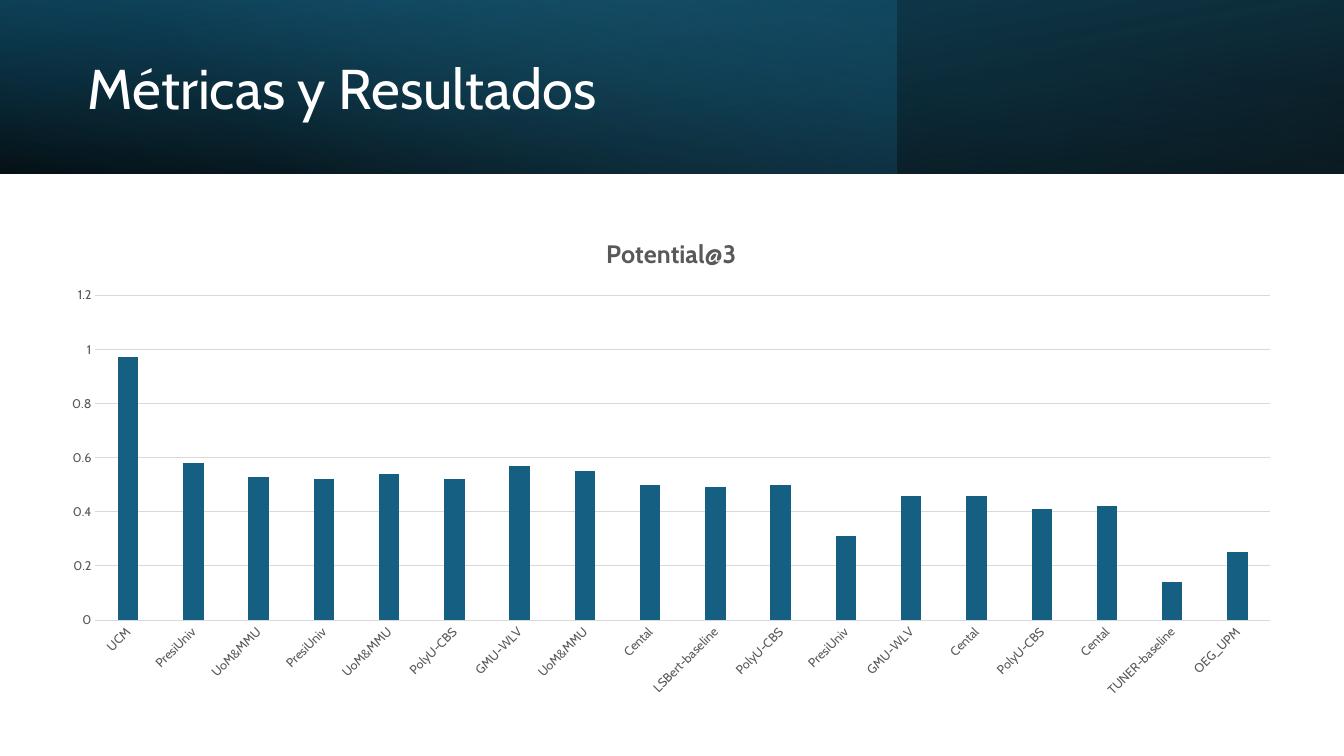
"""Builds the slide that compares Potential@3 across the competing teams."""
from lxml import etree
from pptx import Presentation
from pptx.chart.data import CategoryChartData
from pptx.dml.color import RGBColor
from pptx.enum.chart import XL_CHART_TYPE, XL_TICK_MARK
from pptx.enum.shapes import MSO_SHAPE
from pptx.enum.text import MSO_ANCHOR, PP_ALIGN
from pptx.oxml.ns import qn
from pptx.util import Cm, Pt

COLUMN = XL_CHART_TYPE.COLUMN_CLUSTERED
NO_TICK = XL_TICK_MARK.NONE
RECTANGLE = MSO_SHAPE.RECTANGLE
MIDDLE = MSO_ANCHOR.MIDDLE
LEFT = PP_ALIGN.LEFT

COLORS = {
    "white": "FFFFFF",
    "black": "000000",
    "navy": "104862",
    "teal": "156082",
    "sky": "46B1E1",
    "label": "595959",
    "grid": "D9D9D9",
}
FONT = "Cabin"
WIDTH, HEIGHT, BANNER_HEIGHT = 33.87, 19.05, 4.38

RESULTS = [
    ("UCM", 0.97), ("PresiUniv", 0.58), ("UoM&MMU", 0.53),
    ("PresiUniv", 0.52), ("UoM&MMU", 0.54), ("PolyU-CBS", 0.52),
    ("GMU-WLV", 0.57), ("UoM&MMU", 0.55), ("Cental", 0.5),
    ("LSBert-baseline", 0.49), ("PolyU-CBS", 0.5), ("PresiUniv", 0.31),
    ("GMU-WLV", 0.46), ("Cental", 0.46), ("PolyU-CBS", 0.41),
    ("Cental", 0.42), ("TUNER-baseline", 0.14), ("OEG_UPM", 0.25),
]


class SlideBuilder:
    """Holds the style and the current slide, and adds its elements."""

    def __init__(self, deck):
        self.slide = deck.slides.add_slide(deck.slide_layouts[5])

    def color(self, name):
        return RGBColor.from_string(COLORS[name])

    def style(self, font, size, color, bold=False):
        font.name, font.size, font.bold = FONT, Pt(size), bold
        font.color.rgb = self.color(color)

    def banner(self, width, stops, angle, rotation=0, flipped=False):
        band = self.slide.shapes.add_shape(RECTANGLE, 0, 0, Cm(width), Cm(BANNER_HEIGHT))
        band.shadow.inherit = False
        band.line.fill.background()
        band.rotation = rotation
        properties = band._element.spPr
        if flipped:
            properties.find(qn("a:xfrm")).set("flipH", "1")
        band.fill.gradient()
        band.fill.gradient_angle = 360 - angle
        for stop, (position, name, _) in zip(band.fill.gradient_stops, stops):
            stop.position = position
            stop.color.rgb = self.color(name)
        for tint, (_, _, opacity) in zip(properties.iter(qn("a:srgbClr")), stops):
            etree.SubElement(tint, qn("a:alpha"), val=str(opacity * 1000))

    def title(self, wording, left, top, width, height):
        heading = self.slide.shapes.title
        self.slide.shapes._spTree.append(heading._element)
        heading.left, heading.top = Cm(left), Cm(top)
        heading.width, heading.height = Cm(width), Cm(height)
        heading.text_frame.word_wrap = True
        heading.text_frame.vertical_anchor = MIDDLE
        paragraph = heading.text_frame.paragraphs[0]
        paragraph.alignment = LEFT
        paragraph.line_spacing = 0.9
        run = paragraph.add_run()
        run.text = wording
        self.style(run.font, 40, "white")

    def axis(self, axis):
        axis.major_tick_mark = axis.minor_tick_mark = NO_TICK
        self.style(axis.tick_labels.font, 9, "label")

    def thin_line(self, line):
        line.color.rgb = self.color("grid")
        line.width = Pt(0.75)

    def column_chart(self, metric, results, left, top, width, height):
        data = CategoryChartData()
        data.categories = [team for team, _ in results]
        data.add_series(metric, [score for _, score in results])
        chart = self.slide.shapes.add_chart(
            COLUMN, Cm(left), Cm(top), Cm(width), Cm(height), data).chart
        self.style(chart.font, 10, "black")
        chart.has_legend = False

        chart.has_title = True
        chart.chart_title.include_in_layout = False
        run = chart.chart_title.text_frame.paragraphs[0].add_run()
        run.text = metric
        self.style(run.font, 18, "label", bold=True)

        plot = chart.plots[0]
        plot.gap_width, plot.overlap, plot.vary_by_categories = 219, -27, False
        bars = plot.series[0]
        bars.invert_if_negative = False
        bars.format.fill.solid()
        bars.format.fill.fore_color.rgb = self.color("teal")

        teams, scores = chart.category_axis, chart.value_axis
        self.axis(teams)
        self.thin_line(teams.format.line)
        teams._element.find(qn("c:txPr")).find(qn("a:bodyPr")).set("rot", "-2700000")
        self.axis(scores)
        scores.format.line.fill.background()
        scores.minimum_scale, scores.maximum_scale, scores.major_unit = 0, 1.2, 0.2
        scores.has_major_gridlines = True
        self.thin_line(scores.major_gridlines.format.line)


def main():
    deck = Presentation()
    deck.slide_width, deck.slide_height = Cm(WIDTH), Cm(HEIGHT)
    builder = SlideBuilder(deck)
    builder.banner(WIDTH, [(0, "black", 96), (1, "navy", 100)], 100, rotation=180, flipped=True)
    builder.banner(22.6, [(0, "teal", 41), (0.74, "sky", 0)], 140)
    builder.banner(WIDTH, [(0, "black", 63), (0.78, "teal", 15)], 260, flipped=True)
    builder.title("Métricas y Resultados", 1.96, 0.69, 19.61, 3.23)
    builder.column_chart("Potential@3", RESULTS, 1.19, 5.46, 31.45, 12.37)
    deck.save("out.pptx")


if __name__ == "__main__":
    main()
